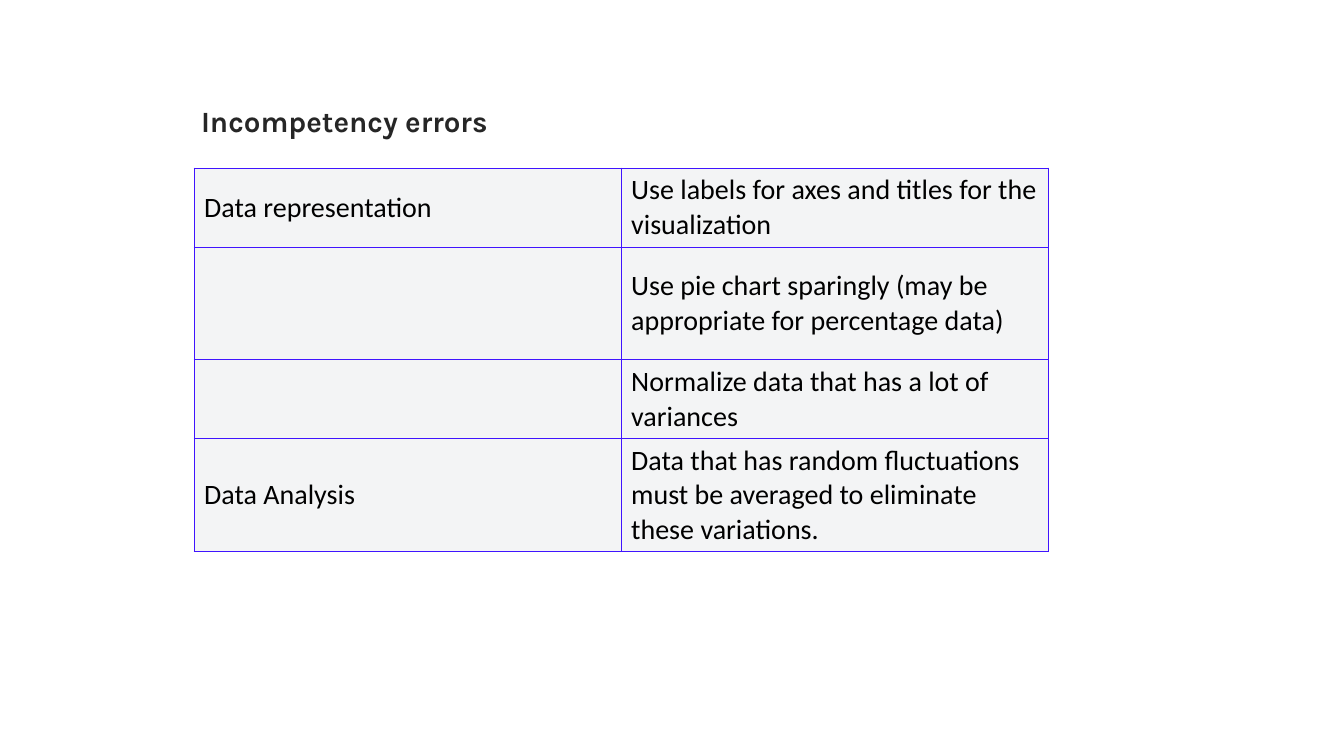
import pptx
import pptx.dml.color
import pptx.enum.text
import pptx.oxml
import pptx.oxml.ns
import pptx.util

PX = 9071  # EMU per px, at 100.8 px to the inch
INK = pptx.dml.color.RGBColor(0x26, 0x26, 0x26)
BLACK = pptx.dml.color.RGBColor(0x00, 0x00, 0x00)
CELL_FILL = pptx.dml.color.RGBColor(0xF3, 0xF4, 0xF5)
BORDER = pptx.dml.color.RGBColor(0x40, 0x14, 0xFE)
MIDDLE = pptx.enum.text.MSO_ANCHOR.MIDDLE

# Non-breaking spaces keep the phrases together when the lines wrap
ADVICE = [
    ("Data representation ", "Use labels for axes and titles for the visualization"),
    ("", "Use pie chart sparingly (may be appropriate for percentage data) "),
    ("", "Normalize data that has a lot of variances "),
    ("Data Analysis ", "Data that has random fluctuations must be averaged "
                       "to eliminate these variations. "),
]
ROW_HEIGHTS = [79, 113, 79, 113]


def px(*lengths):
    return [pptx.util.Emu(length * PX) for length in lengths]


def style_font(paragraph, name, size, color, bold=False):
    paragraph.font.name = name
    paragraph.font.size = pptx.util.Pt(size)
    paragraph.font.color.rgb = color
    paragraph.font.bold = bold


def add_heading(slide, left, top, width, height):
    frame = slide.shapes.add_textbox(*px(left, top, width, height)).text_frame
    frame.word_wrap = False
    frame.vertical_anchor = MIDDLE
    frame.margin_left = frame.margin_top = frame.margin_right = frame.margin_bottom = 0
    frame.text = "Incompetency errors"
    style_font(frame.paragraphs[0], "Karla", 21, INK, bold=True)


def add_borders(cell):
    properties = cell._tc.get_or_add_tcPr()
    for position, side in enumerate(("lnL", "lnR", "lnT", "lnB")):
        properties.insert(position, pptx.oxml.parse_xml(
            f'<a:{side} {pptx.oxml.ns.nsdecls("a")} w="{pptx.util.Pt(0.75)}">'
            f'<a:solidFill><a:srgbClr val="{BORDER}"/></a:solidFill></a:{side}>'))


def add_advice_table(slide, left, top, width):
    columns = len(ADVICE[0])
    table = slide.shapes.add_table(
        len(ADVICE), columns, *px(left, top, width, sum(ROW_HEIGHTS))).table
    table.first_row = table.horz_banding = False
    for column in table.columns:
        column.width = px(width // columns)[0]
    for row, height, texts in zip(table.rows, ROW_HEIGHTS, ADVICE):
        row.height = px(height)[0]
        for cell, text in zip(row.cells, texts):
            cell.text = text
            cell.vertical_anchor = MIDDLE
            cell.fill.solid()
            cell.fill.fore_color.rgb = CELL_FILL
            style_font(cell.text_frame.paragraphs[0], "Calibri", 20, BLACK)
            add_borders(cell)


def main():
    presentation = pptx.Presentation()
    presentation.slide_width = pptx.util.Inches(13.33)
    presentation.slide_height = pptx.util.Inches(7.5)
    slide = presentation.slides.add_slide(presentation.slide_layouts[6])
    # Table of advice by kind of error
    add_advice_table(slide, 194, 168, 854)
    # Heading above the table
    add_heading(slide, 201, 101, 846, 40)
    presentation.save("out.pptx")


if __name__ == "__main__":
    main()
